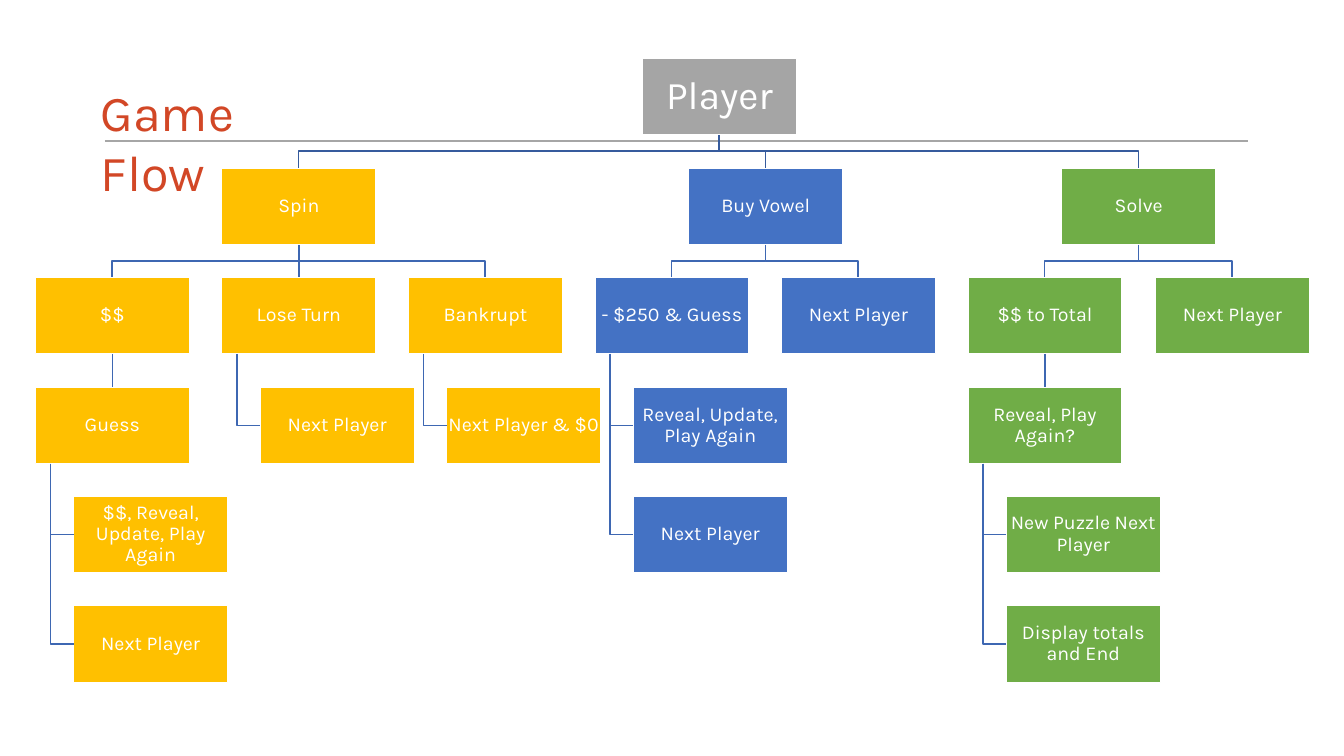
from lxml import etree
from pptx import Presentation
from pptx import util as u
from pptx.dml.color import RGBColor
from pptx.enum import shapes, text
from pptx.oxml.ns import qn

PX = u.Inches(1) // 100  # 100 px to the inch
FONT = "Karla"
WHITE = RGBColor(0xFF, 0xFF, 0xFF)
GREY = RGBColor(0xA5, 0xA5, 0xA5)
RULE_GREY = RGBColor(0xA6, 0xA6, 0xA6)
GOLD = RGBColor(0xFF, 0xC0, 0x00)
BLUE = RGBColor(0x44, 0x72, 0xC4)
GREEN = RGBColor(0x70, 0xAD, 0x47)
RED = RGBColor(0xD2, 0x47, 0x26)
TRUNK = RGBColor(0x36, 0x5B, 0x9D)
BRANCH = RGBColor(0x3E, 0x67, 0xB2)

BOX_W, BOX_H = 153, 76
LEFT, COLUMN_STEP = 35, 185.1
TOP, ROW_STEP = 58, 108.6
INDENT, STEM = 38, 15  # shift of a hanging box, and of the stem it hangs from

# label, colour, column, row, index of parent, hanging
steps = [
    ("Player", GREY, 3.25, 0, None, False),
    ("Spin", GOLD, 1, 1, 0, False),
    ("$$", GOLD, 0, 2, 1, False),
    ("Guess", GOLD, 0, 3, 2, False),
    ("$$, Reveal, Update, Play Again", GOLD, 0, 4, 3, True),
    ("Next Player", GOLD, 0, 5, 3, True),
    ("Lose Turn", GOLD, 1, 2, 1, False),
    ("Next Player", GOLD, 1, 3, 6, True),
    ("Bankrupt", GOLD, 2, 2, 1, False),
    ("Next Player & $0", GOLD, 2, 3, 8, True),
    ("Buy Vowel", BLUE, 3.5, 1, 0, False),
    ("- $250 & Guess", BLUE, 3, 2, 10, False),
    ("Reveal, Update, Play Again", BLUE, 3, 3, 11, True),
    ("Next Player", BLUE, 3, 4, 11, True),
    ("Next Player", BLUE, 4, 2, 10, False),
    ("Solve", GREEN, 5.5, 1, 0, False),
    ("$$ to Total", GREEN, 5, 2, 15, False),
    ("Reveal, Play Again?", GREEN, 5, 3, 16, False),
    ("New Puzzle Next Player", GREEN, 5, 4, 17, True),
    ("Display totals and End", GREEN, 5, 5, 17, True),
    ("Next Player", GREEN, 6, 2, 15, False),
]

prs = Presentation()
prs.slide_width, prs.slide_height = 1333 * PX, 750 * PX
slide = prs.slides.add_slide(prs.slide_layouts[5])


def add_straight(x1, y1, x2, y2, colour):
    link = slide.shapes.add_connector(
        shapes.MSO_CONNECTOR.STRAIGHT, x1 * PX, y1 * PX, x2 * PX, y2 * PX)
    link.line.color.rgb = colour
    link.line.width = u.Pt(1)
    etree.SubElement(link._element.spPr, qn("a:effectLst"))
    return link


def add_run(paragraph, words, size, colour):
    run = paragraph.add_run()
    run.text = words
    run.font.name = FONT
    run.font.size = u.Pt(size)
    run.font.color.rgb = colour


# Title and rule
add_straight(104, 140, 1238, 140, RULE_GREY)
title = slide.shapes.title
title.left, title.top, title.width, title.height = 90 * PX, 75 * PX, 256 * PX, 71 * PX
heading = title.text_frame
heading.word_wrap = True
heading.auto_size = text.MSO_AUTO_SIZE.SHAPE_TO_FIT_TEXT
heading.vertical_anchor = text.MSO_ANCHOR.TOP
heading.paragraphs[0].alignment = text.PP_ALIGN.LEFT
add_run(heading.paragraphs[0], "Game Flow", 36, RED)

# Boxes
boxes = []
corners = []
for label, colour, column, row, parent, hanging in steps:
    x = round(LEFT + column * COLUMN_STEP) + (INDENT if hanging else 0)
    y = round(TOP + row * ROW_STEP)
    box = slide.shapes.add_shape(
        shapes.MSO_SHAPE.RECTANGLE, x * PX, y * PX, BOX_W * PX, BOX_H * PX)
    box.shadow.inherit = False
    box.fill.solid()
    box.fill.fore_color.rgb = colour
    box.line.color.rgb = WHITE
    box.line.width = u.Pt(1)
    frame = box.text_frame
    frame.word_wrap = True
    frame.vertical_anchor = text.MSO_ANCHOR.MIDDLE
    inset = (2 if parent is None else 1) * PX
    frame.margin_left = frame.margin_right = inset
    frame.margin_top = frame.margin_bottom = inset
    frame.paragraphs[0].alignment = text.PP_ALIGN.CENTER
    frame.paragraphs[0].line_spacing = 0.9
    add_run(frame.paragraphs[0], label, 28 if parent is None else 14, WHITE)
    boxes.append(box)
    corners.append((x, y))

# Links from each box to its parent
for child, (label, colour, column, row, parent, hanging) in enumerate(steps):
    if parent is None:
        continue
    x, y = corners[child]
    parent_x, parent_y = corners[parent]
    bottom = parent_y + BOX_H
    link_colour = TRUNK if parent == 0 else BRANCH
    if x == parent_x:
        link = add_straight(x, bottom, x, y, link_colour)
        link.begin_connect(boxes[parent], 2)
        link.end_connect(boxes[child], 0)
        continue
    if hanging:
        stem, middle = parent_x + STEM, y + BOX_H // 2
        points = [(stem, bottom), (stem, middle), (x, middle)]
    else:
        start, end = parent_x + BOX_W // 2, x + BOX_W // 2
        bend = (bottom + y) // 2
        points = [(start, bottom), (start, bend), (end, bend), (end, y)]
    builder = slide.shapes.build_freeform(*points[0], scale=PX)
    builder.add_line_segments(points[1:], close=False)
    elbow = builder.convert_to_shape()
    elbow.shadow.inherit = False
    elbow.fill.background()
    elbow.line.color.rgb = link_colour
    elbow.line.width = u.Pt(1)

prs.save("out.pptx")
